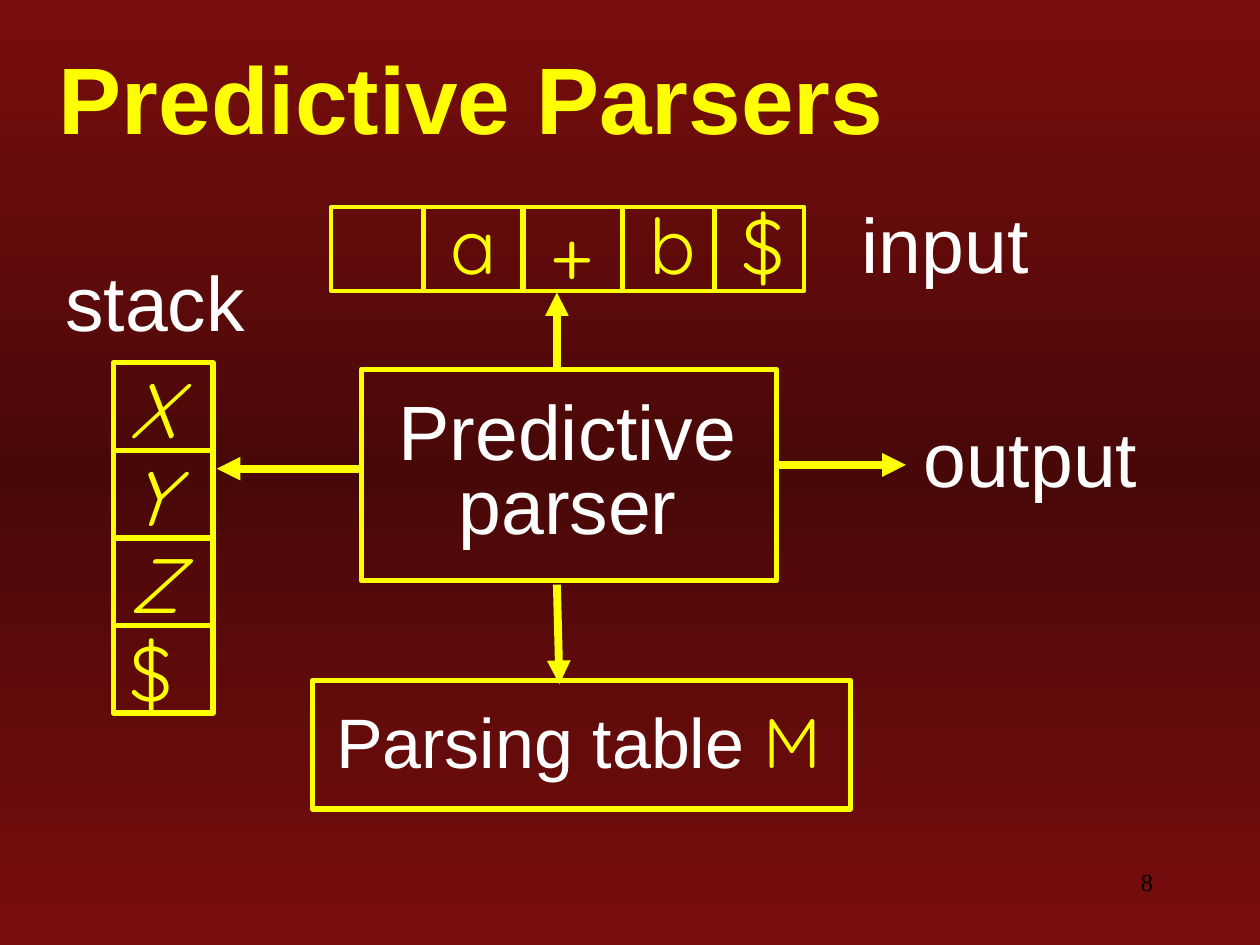
from copy import deepcopy

from lxml import etree
from pptx import Presentation
from pptx.dml.color import RGBColor
from pptx.enum.shapes import MSO_CONNECTOR, MSO_SHAPE
from pptx.enum.text import MSO_ANCHOR, MSO_AUTO_SIZE, PP_ALIGN
from pptx.oxml.ns import qn
from pptx.util import Inches, Pt

YELLOW = RGBColor(0xFF, 0xFF, 0x00)
WHITE = RGBColor(0xFF, 0xFF, 0xFF)
BLACK = RGBColor(0x00, 0x00, 0x00)
RED = RGBColor(0x79, 0x0D, 0x0D)
DARK_RED = RGBColor(0x49, 0x08, 0x08)

STRAIGHT = MSO_CONNECTOR.STRAIGHT
RECTANGLE = MSO_SHAPE.RECTANGLE
MIDDLE = MSO_ANCHOR.MIDDLE
GROW = MSO_AUTO_SIZE.SHAPE_TO_FIT_TEXT
CENTER = PP_ALIGN.CENTER
RIGHT = PP_ALIGN.RIGHT

COLUMNS, ROWS = 100, 75
LABEL = {"name": "Arial", "size": Pt(44), "color": WHITE}
SYMBOL = {"name": "Quicksand", "size": Pt(44), "color": YELLOW}
VARIABLE = {**SYMBOL, "italic": True}
TITLE = {"name": "Arial", "size": Pt(54), "color": YELLOW, "bold": True}
PAGE = {"name": "Times New Roman", "size": Pt(14), "color": BLACK}


class Diagram:
    def __init__(self, deck):
        self.slide = deck.slides.add_slide(deck.slide_layouts[6])
        self.column = deck.slide_width / COLUMNS
        self.row = deck.slide_height / ROWS

    def place(self, *cells):
        units = (self.column, self.row) * 2
        return [round(cell * unit) for cell, unit in zip(cells, units)]

    def background(self, colors):
        fill = self.slide.background.fill
        fill.gradient()
        fill.gradient_angle = 90
        stop_list = self.slide._element.find(".//" + qn("a:gsLst"))
        stop_list.append(deepcopy(stop_list[-1]))
        for index, (stop, color) in enumerate(zip(fill.gradient_stops, colors)):
            stop.color.rgb = color
            stop.position = index / (len(colors) - 1)

    def box(self, *cells, weight=3):
        outline = self.slide.shapes.add_shape(RECTANGLE, *self.place(*cells))
        outline.shadow.inherit = False
        outline.fill.background()
        outline.line.color.rgb = YELLOW
        outline.line.width = Pt(weight)

    def line(self, *cells, weight=3):
        stroke = self.slide.shapes.add_connector(STRAIGHT, *self.place(*cells))
        stroke.line.color.rgb = YELLOW
        stroke.line.width = Pt(weight)
        etree.SubElement(stroke._element.spPr, qn("a:effectLst"))
        return stroke

    def arrow(self, *cells):
        stroke = self.line(*cells, weight=4.5)
        etree.SubElement(stroke.line._get_or_add_ln(), qn("a:tailEnd"), type="triangle")

    def text(self, cells, *runs, frame=None, paragraph=None):
        text_frame = self.slide.shapes.add_textbox(*self.place(*cells)).text_frame
        frame_format = {"word_wrap": True, "auto_size": GROW, **(frame or {})}
        for name, value in frame_format.items():
            setattr(text_frame, name, value)
        line = text_frame.paragraphs[0]
        for name, value in (paragraph or {}).items():
            setattr(line, name, value)
        for words, style in runs:
            run = line.add_run()
            run.text = words
            for name, value in style.items():
                if name == "color":
                    run.font.color.rgb = value
                else:
                    setattr(run.font, name, value)


def draw_input(diagram):
    top, height = 16.4, 6.7
    diagram.box(26.3, top, 37.5, height, weight=2.25)
    cells = (("a", 33.6, 0), ("+", 41.5, 0.5), ("b", 49.4, 0), ("$", 56.7, 0))
    for symbol, left, drop in cells:
        diagram.line(left, top, left, top + height)
        diagram.text((left + 1.2, top - 1.2 + drop, 5.5, 8.4), (symbol, SYMBOL),
                     frame={"word_wrap": False})
    diagram.text((67.4, 15.1, 20.4, 8.4), ("input", LABEL))


def draw_stack(diagram):
    left, top, width, height = 9, 28.8, 7.9, 27.8
    entries = (("X", VARIABLE), ("Y", VARIABLE), ("Z", VARIABLE), ("$", SYMBOL))
    pitch = height / len(entries)
    diagram.box(left, top, width, height)
    for index, entry in enumerate(entries):
        level = top + index * pitch
        if index:
            diagram.line(left, level, left + width, level)
        diagram.text((left + 0.3, level - 0.6, 7, 8.4), entry)
    diagram.text((4.2, 19.7, 20.4, 8.4), ("stack", LABEL))


def draw_parser(diagram):
    tight = {"alignment": CENTER, "line_spacing": 0.8}
    diagram.box(28.7, 29.3, 32.9, 16.8)
    diagram.text((27.3, 31.4, 35.5, 12.8), ("Predictive parser", LABEL), paragraph=tight)
    diagram.box(24.8, 54, 42.7, 10.2)
    diagram.text((24.3, 56.2, 43.3, 6.4),
                 ("Parsing table ", {**LABEL, "size": Pt(40)}),
                 ("M", {**SYMBOL, "size": Pt(40)}), paragraph=tight)
    diagram.text((72.3, 32.1, 20.4, 8.4), ("output", LABEL))
    for ends in ((44.2, 29.5, 44.2, 23.2), (28.6, 37.2, 17.2, 37.2),
                 (44.2, 46.4, 44.4, 54.3), (61.5, 36.9, 71.9, 36.9)):
        diagram.arrow(*ends)


def main():
    deck = Presentation()
    deck.slide_width, deck.slide_height = Inches(10), Inches(7.5)
    diagram = Diagram(deck)
    diagram.background((RED, DARK_RED, RED))
    fixed = {"auto_size": MSO_AUTO_SIZE.NONE}
    diagram.text((71.7, 68.3, 20.8, 5), ("8", PAGE), frame=fixed,
                 paragraph={"alignment": RIGHT})
    diagram.text((3.7, 3.5, 96, 8.3), ("Predictive Parsers", TITLE),
                 frame={**fixed, "vertical_anchor": MIDDLE})
    draw_input(diagram)
    draw_stack(diagram)
    draw_parser(diagram)
    deck.save("out.pptx")


if __name__ == "__main__":
    main()
